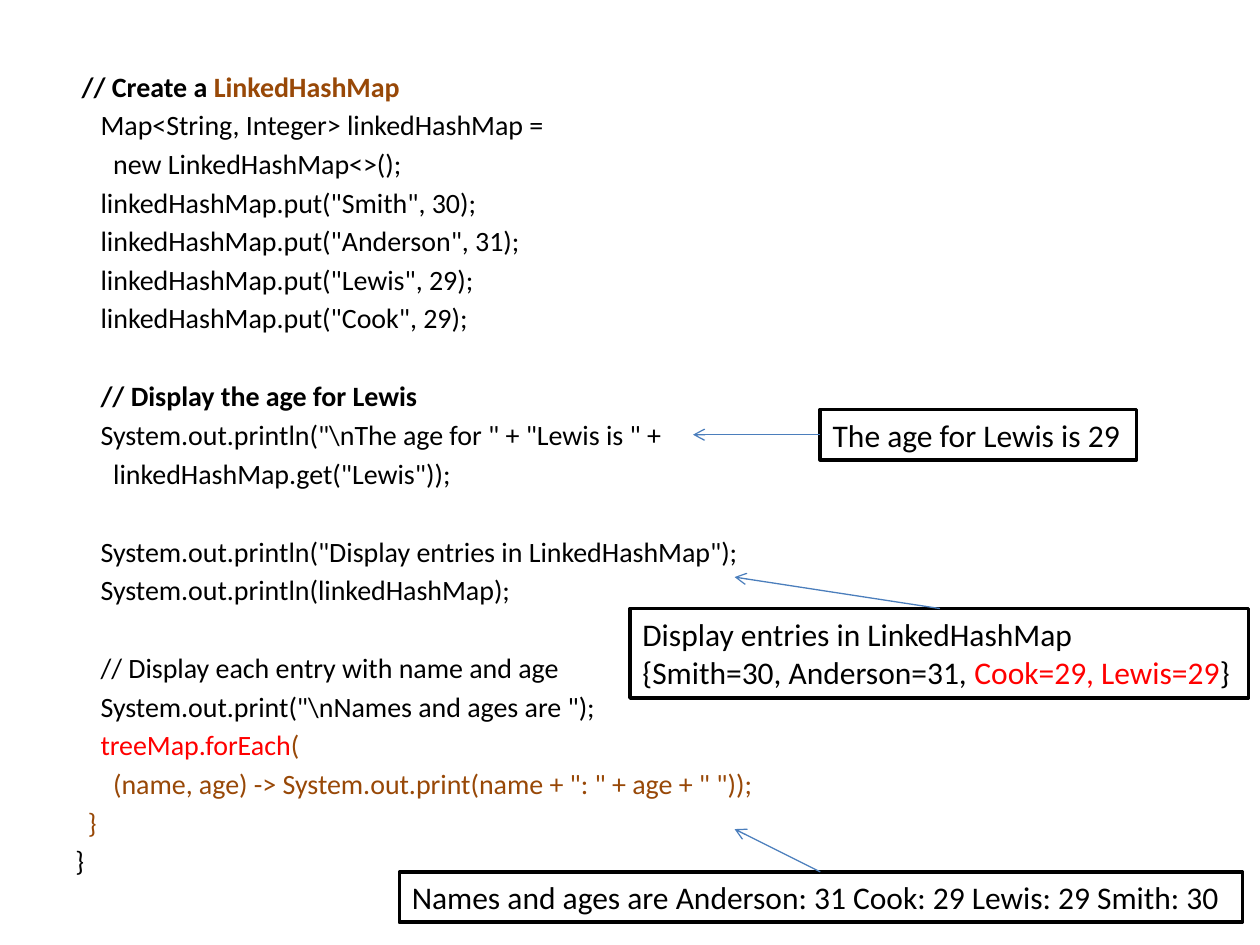
from dataclasses import dataclass
from lxml import etree
from pptx import Presentation
from pptx import util as u
from pptx.dml.color import RGBColor
from pptx.enum import shapes, text
from pptx.oxml.ns import qn


@dataclass(frozen=True)
class Theme:
    font: str = "Calibri"
    code_size: int = 16
    output_size: int = 18
    black: str = "000000"
    white: str = "FFFFFF"
    brown: str = "984807"
    red: str = "FF0000"
    blue: str = "4B7EBC"


theme = Theme()
BLACK, BROWN, RED = theme.black, theme.brown, theme.red

# Code blocks: lines of (indent in columns, bold, runs of (wording, colour))
CODE_BLOCKS = [
    [
        (1, True, [("// Create a ", BLACK), ("LinkedHashMap", BROWN)]),
        (4, False, [("Map<String, Integer> linkedHashMap =", BLACK)]),
        (6, False, [("new LinkedHashMap<>();", BLACK)]),
        (4, False, [('linkedHashMap.put("Smith", 30);', BLACK)]),
        (4, False, [('linkedHashMap.put("Anderson", 31);', BLACK)]),
        (4, False, [('linkedHashMap.put("Lewis", 29);', BLACK)]),
        (4, False, [('linkedHashMap.put("Cook", 29);', BLACK)]),
    ],
    [
        (4, True, [("// Display the age for Lewis", BLACK)]),
        (4, False, [(r'System.out.println("\nThe age for " + "Lewis is " +', BLACK)]),
        (6, False, [('linkedHashMap.get("Lewis"));', BLACK)]),
    ],
    [
        (4, False, [('System.out.println("Display entries in LinkedHashMap");', BLACK)]),
        (4, False, [("System.out.println(linkedHashMap);", BLACK)]),
    ],
    [
        (4, False, [("// Display each entry with name and age", BLACK)]),
        (4, False, [(r'System.out.print("\nNames and ages are ");', BLACK)]),
        (4, False, [("treeMap.forEach", RED), ("(", BROWN)]),
        (6, False, [('(name, age) -> System.out.print(name + ": " + age + " "));', BROWN)]),
        (2, False, [("}", BROWN)]),
        (0, False, [("}", BLACK)]),
    ],
]

# Output boxes: (left, top, width, height), lines of runs, arrow start and end
OUTPUTS = [
    ((6.51, 3.25, 2.51, 0.4), [[("The age for Lewis is 29", BLACK)]],
     (6.51, 3.45), (5.5, 3.45)),
    ((5, 4.83, 4.91, 0.71),
     [[("Display entries in LinkedHashMap", BLACK)],
      [("{Smith=30, Anderson=31, ", BLACK), ("Cook=29, Lewis=29", RED), ("}", BLACK)]],
     (7.46, 4.83), (5.83, 4.58)),
    ((3.17, 6.92, 6.69, 0.4),
     [[("Names and ages are Anderson: 31 Cook: 29 Lewis: 29 Smith: 30", BLACK)]],
     (6.51, 6.92), (5.83, 6.58)),
]

COLUMN = 0.05      # inches per column of code indent
LINE_GAP = 2.9     # points before each line
BLOCK_GAP = 25.3   # points before each later block


def inches(values):
    return [u.Inches(value) for value in values]


def color(value):
    return RGBColor.from_string(value)


def add_line(frame, first, runs, size, bold=False):
    paragraph = frame.paragraphs[0] if first else frame.add_paragraph()
    paragraph.alignment = text.PP_ALIGN.LEFT
    paragraph.font.name = theme.font
    paragraph.font.size = u.Pt(size)
    paragraph.font.bold = bold
    for wording, run_color in runs:
        run = paragraph.add_run()
        run.text = wording
        run.font.color.rgb = color(run_color)
    return paragraph


def add_code(slide):
    frame = slide.shapes.add_textbox(*inches((0.5, 0.5, 9, 6.83))).text_frame
    frame.word_wrap = True
    for block_index, block in enumerate(CODE_BLOCKS):
        for line_index, (indent, bold, runs) in enumerate(block):
            first = block_index == line_index == 0
            paragraph = add_line(frame, first, runs, theme.code_size, bold)
            new_block = block_index > 0 and line_index == 0
            paragraph.space_before = u.Pt(BLOCK_GAP if new_block else LINE_GAP)
            properties = paragraph._p.get_or_add_pPr()
            properties.set("marL", str(u.Inches(indent * COLUMN)))
            properties.set("indent", "0")


def add_output(slide, place, lines):
    shape = slide.shapes.add_shape(shapes.MSO_SHAPE.RECTANGLE, *inches(place))
    shape.shadow.inherit = False
    shape.fill.solid()
    shape.fill.fore_color.rgb = color(theme.white)
    shape.line.color.rgb = color(theme.black)
    shape.line.width = u.Pt(2)
    frame = shape.text_frame
    frame.word_wrap = True
    frame.vertical_anchor = text.MSO_ANCHOR.TOP
    for index, runs in enumerate(lines):
        add_line(frame, index == 0, runs, theme.output_size)


def add_arrow(slide, start, end):
    arrow = slide.shapes.add_connector(
        shapes.MSO_CONNECTOR.STRAIGHT, *inches(start + end))
    arrow.line.color.rgb = color(theme.blue)
    arrow.line.width = u.Pt(0.75)
    etree.SubElement(arrow.line._get_or_add_ln(), qn("a:tailEnd"), type="arrow")
    etree.SubElement(arrow._element.spPr, qn("a:effectLst"))


# Build the slide
presentation = Presentation()
presentation.slide_width, presentation.slide_height = inches((10, 7.5))
slide = presentation.slides.add_slide(presentation.slide_layouts[6])
add_code(slide)
for place, lines, start, end in OUTPUTS:
    add_output(slide, place, lines)
    add_arrow(slide, start, end)
presentation.save("out.pptx")
